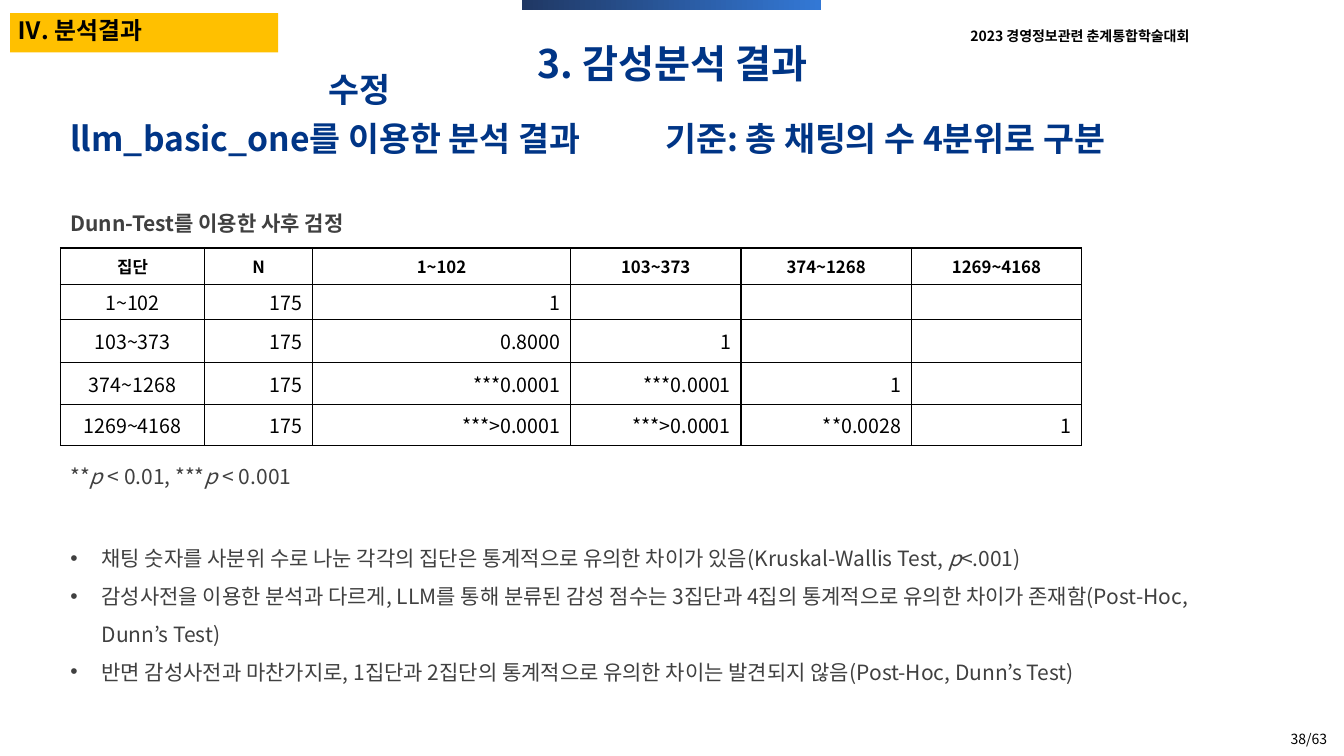
from dataclasses import dataclass

from lxml.etree import SubElement
from pptx import Presentation
from pptx.dml.color import RGBColor
from pptx.enum.shapes import MSO_SHAPE
from pptx.enum.text import MSO_ANCHOR, PP_ALIGN
from pptx.oxml.ns import qn
from pptx.util import Pt

PX = 9144  # 100 px to the inch


@dataclass(frozen=True)
class Theme:
    face: str = "Noto Sans CJK KR"
    black: str = "000000"
    navy: str = "003586"
    gray: str = "404040"
    gold: str = "FFC000"
    dark: str = "203864"
    blue: str = "3378D5"
    small: int = 10
    head: int = 12
    cell: int = 14
    body: int = 15
    tag: int = 17
    lead: int = 24
    title: int = 28


THEME = Theme()
HEADS = ["집단", "N", "1~102", "103~373", "374~1268", "1269~4168"]
SCORES = [
    ["1"],
    ["0.8000", "1"],
    ["***0.0001", "***0.0001", "1"],
    ["***>0.0001", "***>0.0001", "**0.0028", "1"],
]
COLS = [143, 107, 256, 169, 169, 169]
ROWS = [36, 35, 43, 41, 41]
# Runs at odd places are italic
NOTE = ["**", "p", " < 0.01, ***", "p", " < 0.001"]
POINTS = [
    ["채팅 숫자를 사분위 수로 나눈 각각의 집단은 통계적으로 유의한 차이가 있음"
     "(Kruskal-Wallis Test, ", "p", "<.001)"],
    ["감성사전을 이용한 분석과 다르게, LLM를 통해 분류된 감성 점수는 3집단과 "
     "4집의 통계적으로 유의한 차이가 존재함(Post-Hoc, Dunn’s Test)"],
    ["반면 감성사전과 마찬가지로, 1집단과 2집단의 통계적으로 유의한 차이는 "
     "발견되지 않음(Post-Hoc, Dunn’s Test)"],
]


def style(para, size, color, bold=False, align=PP_ALIGN.LEFT):
    para.alignment = align
    font = para.font
    font.size, font.bold = Pt(size), bold
    font.color.rgb = RGBColor.from_string(color)
    font.name = THEME.face
    base = para._p.pPr.find(qn("a:defRPr"))
    SubElement(base, qn("a:ea"), typeface=THEME.face)


def add_text(slide, box, paras, size, color, bold=False, align=PP_ALIGN.LEFT,
             space=None, bullet=False, tab=None, anchor=MSO_ANCHOR.TOP):
    frame = slide.shapes.add_textbox(*[n * PX for n in box]).text_frame
    frame.word_wrap = True
    frame.vertical_anchor = anchor
    for i, runs in enumerate(paras):
        para = frame.add_paragraph() if i else frame.paragraphs[0]
        if space:
            para.line_spacing = space
        props = para._p.get_or_add_pPr()
        if bullet:
            props.set("marL", str(31 * PX))
            props.set("indent", str(-31 * PX))
            SubElement(props, qn("a:buFont"), typeface="Arial")
            SubElement(props, qn("a:buChar"), char="•")
        if tab:
            stops = SubElement(props, qn("a:tabLst"))
            SubElement(stops, qn("a:tab"), pos=str(tab * PX), algn="l")
        style(para, size, color, bold, align)
        for j, words in enumerate(runs):
            run = para.add_run()
            run.text = words
            if j % 2:
                run.font.italic = True


def add_bar(slide, box):
    bar = slide.shapes.add_shape(MSO_SHAPE.RECTANGLE, *[n * PX for n in box])
    bar.shadow.inherit = False
    bar.line.fill.background()
    return bar.fill


def add_header(slide, x, y, width):
    # Section tag
    fill = add_bar(slide, (x + 10, y + 13, 266, 39))
    fill.solid()
    fill.fore_color.rgb = RGBColor.from_string(THEME.gold)
    add_text(slide, (x + 8, y + 11, 196, 39), [["Ⅳ. 분석결과"]],
             THEME.tag, THEME.black, True)
    # Top accent
    fill = add_bar(slide, (x + (width - 296) // 2, y, 296, 10))
    fill.gradient()
    fill.gradient_angle = 0
    for stop, color in zip(fill.gradient_stops, (THEME.dark, THEME.blue)):
        stop.color.rgb = RGBColor.from_string(color)
    # Event name and title
    add_text(slide, (x + 938, y + 22, 266, 27),
             [["2023 경영정보관련 춘계통합학술대회"]],
             THEME.small, THEME.black, True, PP_ALIGN.CENTER)
    add_text(slide, (x + 361, y + 34, 612, 57), [["3. 감성분석 결과"]],
             THEME.title, THEME.navy, True, PP_ALIGN.CENTER)


def add_lead(slide, x, y, width):
    add_text(slide, (x + 256, y, 140, 50), [["수정"]],
             THEME.lead, THEME.navy, True)
    add_text(slide, (x, y + 49, width, 50),
             [["llm_basic_one를 이용한 분석 결과\t기준: 총 채팅의 수 4분위로 구분"]],
             THEME.lead, THEME.navy, True, tab=590)


def edge(cell):
    props = cell._tc.get_or_add_tcPr()
    for side in "LRTB":
        line = SubElement(props, qn("a:ln" + side), w=str(Pt(1)))
        fill = SubElement(line, qn("a:solidFill"))
        SubElement(fill, qn("a:srgbClr"), val=THEME.black)


def add_scores(slide, x, y):
    width = sum(COLS)
    # Caption
    add_text(slide, (x, y, width, 44), [["Dunn-Test를 이용한 사후 검정"]],
             THEME.body, THEME.gray, True, space=1.5)
    # Table
    rows = [HEADS] + [[name, "175"] + vals
                      for name, vals in zip(HEADS[2:], SCORES)]
    grid = slide.shapes.add_table(
        len(ROWS), len(COLS), x * PX, (y + 55) * PX,
        width * PX, sum(ROWS) * PX).table
    grid.first_row = grid.horz_banding = False
    for col, size in zip(grid.columns, COLS):
        col.width = size * PX
    for r, (row, size) in enumerate(zip(grid.rows, ROWS)):
        row.height = size * PX
        for c, cell in enumerate(row.cells):
            cell.margin_top = cell.margin_bottom = 0
            cell.vertical_anchor = MSO_ANCHOR.MIDDLE
            edge(cell)
            cell.fill.background()
            para = cell.text_frame.paragraphs[0]
            mid = r == 0 or c == 0
            style(para, THEME.cell if r else THEME.head, THEME.black,
                  r == 0, PP_ALIGN.CENTER if mid else PP_ALIGN.RIGHT)
            if c < len(rows[r]):
                para.add_run().text = rows[r][c]
    # Significance note
    add_text(slide, (x, y + 251, width, 44), [NOTE],
             THEME.body, THEME.gray, space=1.5)


def add_points(slide, box):
    add_text(slide, box, POINTS, THEME.body, THEME.gray,
             space=1.5, bullet=True)


def add_page(slide, box):
    add_text(slide, box, [["38/63"]], THEME.small, THEME.black,
             align=PP_ALIGN.RIGHT, anchor=MSO_ANCHOR.BOTTOM)


def main():
    deck = Presentation()
    deck.slide_width, deck.slide_height = 1333 * PX, 750 * PX
    slide = deck.slides.add_slide(deck.slide_layouts[6])
    add_header(slide, 0, 0, 1333)
    add_lead(slide, 60, 63, 1144)
    add_scores(slide, 60, 191)
    add_points(slide, (60, 524, 1129, 195))
    add_page(slide, (1026, 706, 300, 40))
    deck.save("out.pptx")


if __name__ == "__main__":
    main()
